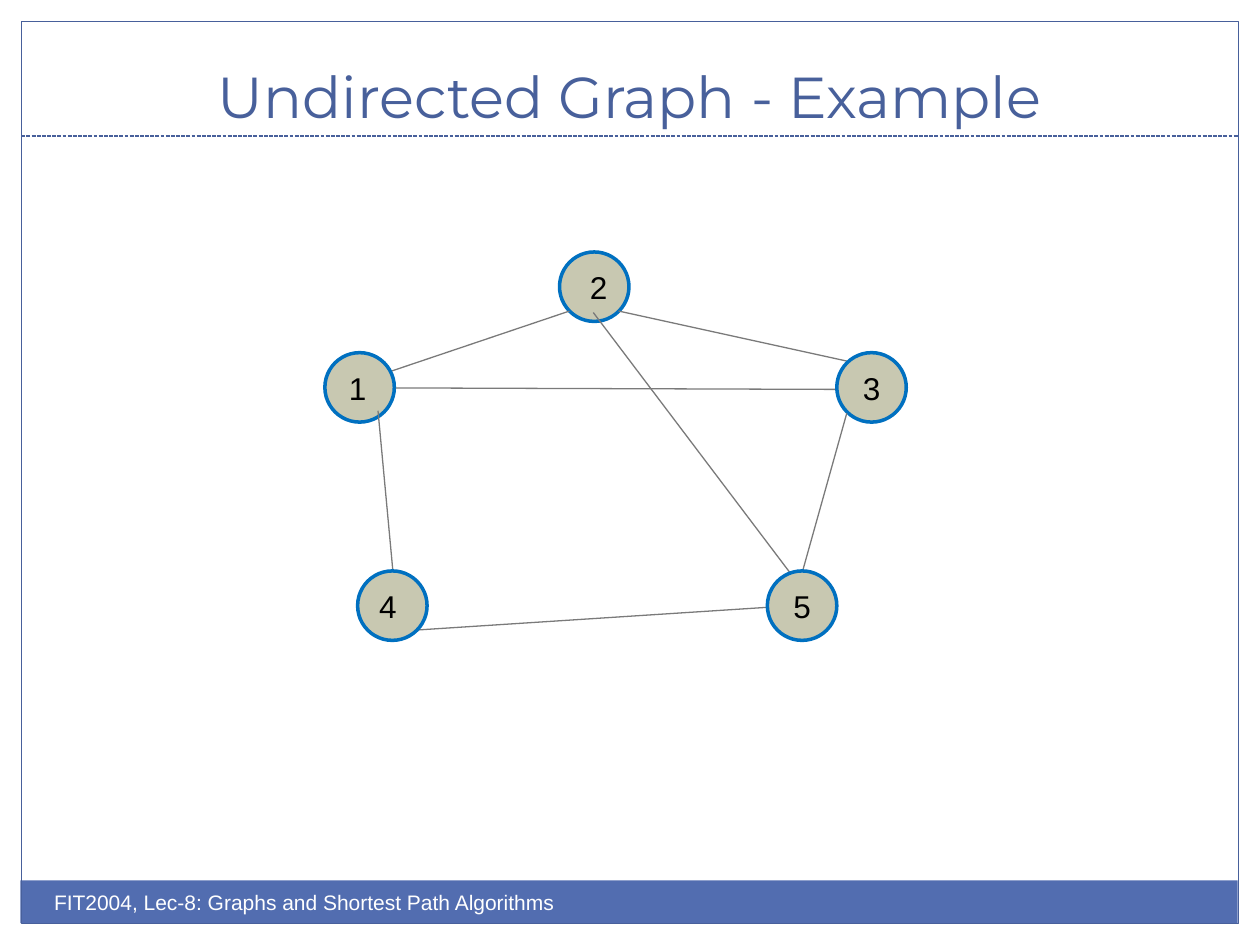
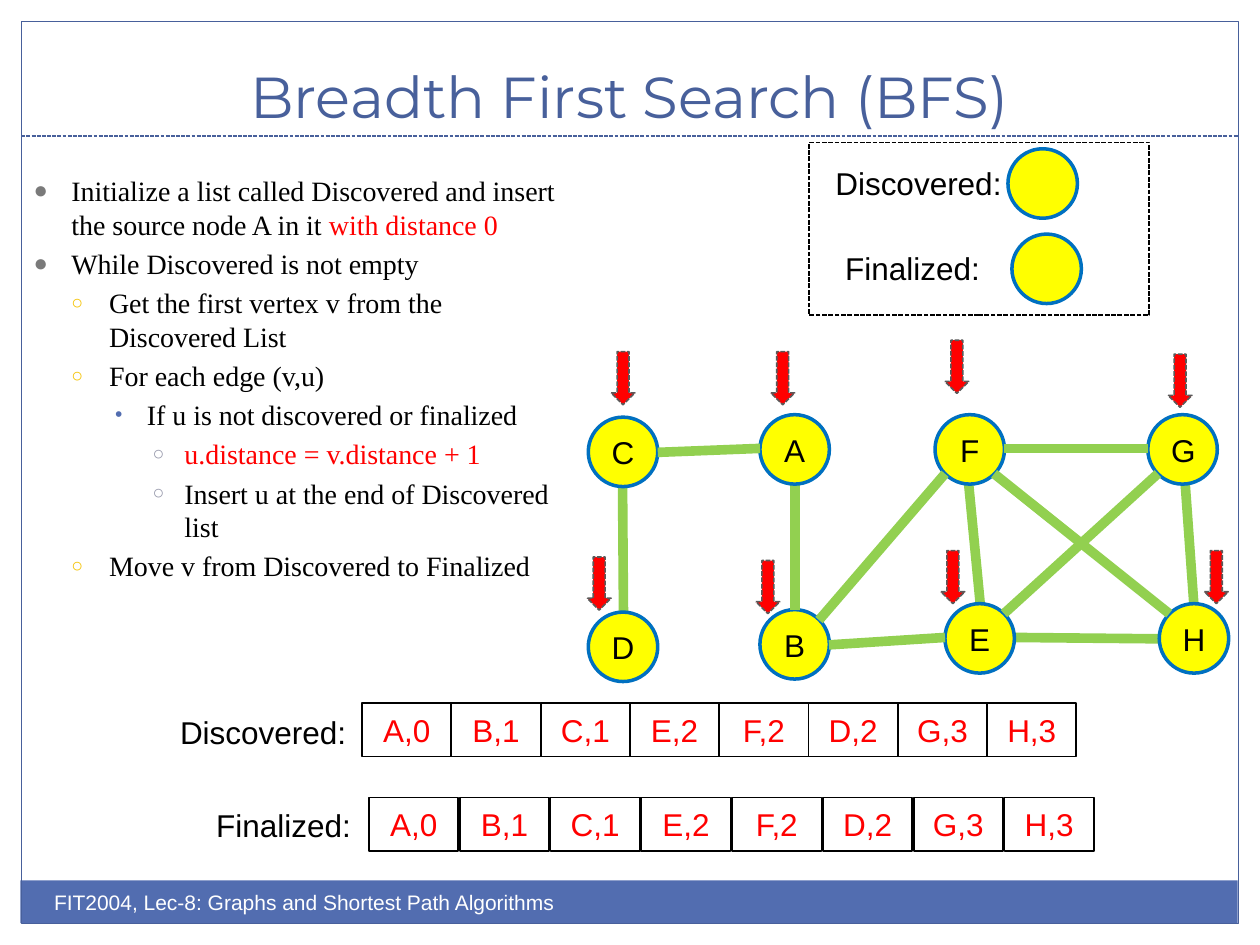
"""Two lecture slides: an undirected graph and breadth first search."""
from typing import NamedTuple

from lxml import etree
from pptx import Presentation
from pptx.dml.color import RGBColor
from pptx.enum.dml import MSO_LINE
from pptx.enum.shapes import MSO_CONNECTOR, MSO_SHAPE
from pptx.enum.text import MSO_ANCHOR, MSO_AUTO_SIZE, PP_ALIGN
from pptx.oxml.ns import qn
from pptx.util import Cm, Pt

RECT, OVAL, DOWN_ARROW = MSO_SHAPE.RECTANGLE, MSO_SHAPE.OVAL, MSO_SHAPE.DOWN_ARROW
STRAIGHT = MSO_CONNECTOR.STRAIGHT
DASH = MSO_LINE.SQUARE_DOT
LEFT, CENTER = PP_ALIGN.LEFT, PP_ALIGN.CENTER
TOP, MIDDLE, BOTTOM = MSO_ANCHOR.TOP, MSO_ANCHOR.MIDDLE, MSO_ANCHOR.BOTTOM
FIT = MSO_AUTO_SIZE.SHAPE_TO_FIT_TEXT

WHITE = RGBColor(0xFF, 0xFF, 0xFF)
BLACK = RGBColor(0x00, 0x00, 0x00)
RED = RGBColor(0xFF, 0x00, 0x00)
YELLOW = RGBColor(0xFF, 0xFF, 0x00)
BAND = RGBColor(0x52, 0x6D, 0xB0)
NAVY = RGBColor(0x48, 0x60, 0x9B)
RING = RGBColor(0x00, 0x70, 0xC0)
STONE = RGBColor(0xC8, 0xC8, 0xB1)
GRAY = RGBColor(0x7A, 0x7A, 0x7A)
DARK_GRAY = RGBColor(0x5A, 0x5A, 0x5A)
GREEN = RGBColor(0x92, 0xD0, 0x50)

FOOTER = "FIT2004, Lec-8: Graphs and Shortest Path Algorithms"
NODE_SIZE = 1.4
LABEL_W, LABEL_H = 0.96, 1.02
CELL_W, CELL_H = 1.8, 1.07
BODY_INDENT = 0.76


class Node(NamedTuple):
    """A graph vertex: label, top left corner in cm, label shift."""
    label: str
    x: float
    y: float
    shift: float = 0


class Edge(NamedTuple):
    """A line between two points, in cm."""
    x1: float
    y1: float
    x2: float
    y2: float


class Bullet(NamedTuple):
    """The marker of one outline level."""
    char: str
    color: str
    percent: int
    hang: float


class Item(NamedTuple):
    """One outline paragraph; the part in red comes last."""
    level: int
    text: str
    red: str = ""


class ListRow(NamedTuple):
    """A labelled row of cells."""
    label: str
    label_x: float
    label_y: float
    label_w: float
    x: float
    y: float
    pitch: float


BULLETS = [
    Bullet("●", "7A7A7A", 85, 0.76),
    Bullet("○", "F5C201", 70, 0.76),
    Bullet("•", "526DB0", 75, 0.64),
    Bullet("○", "989AAC", 70, 0.64),
]

# Slide 1, from back to front
GRAPH = [
    Node("2", 11.28, 5.08, 0.09),
    Edge(11.48, 6.27, 7.24, 7.7),
    Edge(12.47, 6.27, 17.35, 7.34),
    Node("1", 6.55, 7.11, -0.04),
    Edge(7.62, 8.28, 7.92, 11.51),
    Edge(8.41, 12.7, 15.82, 12.22),
    Edge(7.98, 7.82, 16.94, 7.85),
    Node("3", 16.87, 7.11),
    Edge(17.07, 8.33, 16.18, 11.51),
    Edge(11.96, 6.3, 16.05, 11.71),
    Node("4", 7.21, 11.51, -0.09),
    Node("5", 15.47, 11.51),
]

# Slide 2, from back to front
BFS_GRAPH = [
    Edge(19.51, 9.58, 19.76, 12.17),
    Edge(12.55, 9.8, 12.57, 12.55),
    Edge(24.08, 12.37, 23.88, 9.58),
    Edge(23.6, 12.88, 20.45, 12.85),
    Node("B", 15.32, 12.29),
    Edge(16.03, 9.75, 16.03, 12.29),
    Node("A", 15.32, 8.36),
    Node("E", 19.05, 12.17),
    Node("F", 18.85, 8.36),
    Node("H", 23.37, 12.17),
    Node("G", 23.14, 8.36),
    Node("D", 11.86, 12.34),
    Node("C", 11.86, 8.41),
    Edge(19.05, 12.85, 16.71, 13),
    Edge(16.51, 12.5, 19.05, 9.55),
    Edge(20.24, 12.37, 23.34, 9.55),
    Edge(23.57, 12.37, 20.04, 9.55),
    Edge(20.24, 9.04, 23.14, 9.04),
    Edge(13.26, 9.12, 15.32, 9.04),
]
OUTLINE = [
    Item(0, "Initialize a list called Discovered and insert the source node A in it ",
         "with distance 0"),
    Item(0, "While Discovered is not empty"),
    Item(1, "Get the first vertex v from the Discovered List"),
    Item(1, "For each edge (v,u)"),
    Item(2, "If u is not discovered or finalized"),
    Item(3, "", "u.distance = v.distance + 1"),
    Item(3, "Insert u at the end of Discovered list"),
    Item(1, "Move v from Discovered to Finalized"),
]
VISITS = ["A,0", "B,1", "C,1", "E,2", "F,2", "D,2", "G,3", "H,3"]
ROWS = [
    ListRow("Discovered:", 3.38, 14.25, 3.89, 7.3, 14.18, 1.8),
    ListRow("Finalized:", 4.11, 16.13, 3.25, 7.44, 16.08, 1.83),
]
POINTERS = [
    (15.54, 7.09), (15.24, 11.3), (12.32, 7.09), (18.97, 11.1),
    (19.05, 6.86), (11.84, 11.23), (23.55, 7.14), (24.28, 11.1),
]


def add_shape(s, kind, x, y, w, h, fill=None, line=None, width=0.75, dash=None):
    """Add a preset shape without shadow; no colour means no fill or line."""
    sp = s.shapes.add_shape(kind, Cm(x), Cm(y), Cm(w), Cm(h))
    sp.shadow.inherit = False
    if fill is None:
        sp.fill.background()
    else:
        sp.fill.solid()
        sp.fill.fore_color.rgb = fill
    if line is None:
        sp.line.fill.background()
    else:
        sp.line.color.rgb = line
        sp.line.width = Pt(width)
        sp.line.dash_style = dash
    return sp


def add_line(s, edge: Edge, color: RGBColor, width: float, dash=None) -> None:
    """Add a straight connector without shadow."""
    ends = [Cm(v) for v in edge]
    cx = s.shapes.add_connector(STRAIGHT, *ends)
    cx.line.color.rgb = color
    cx.line.width = Pt(width)
    cx.line.dash_style = dash
    etree.SubElement(cx._element.spPr, qn("a:effectLst"))


def style_run(r, size: float, color: RGBColor, font: str = "Arial") -> None:
    """Set size, colour and typeface of a run."""
    r.font.size = Pt(size)
    r.font.name = font
    r.font.color.rgb = color


def write(sp, text: str, size: float, color: RGBColor, font: str = "Arial",
          align=LEFT, anchor=TOP) -> None:
    """Put one styled paragraph in a shape."""
    tf = sp.text_frame
    tf.text = text
    tf.vertical_anchor = anchor
    p = tf.paragraphs[0]
    p.alignment = align
    style_run(p.runs[0], size, color, font)


def add_text(s, x, y, w, h, text, size, color, wrap=True, **style) -> None:
    """Add a text box; one that does not wrap grows with its text."""
    sp = s.shapes.add_textbox(Cm(x), Cm(y), Cm(w), Cm(h))
    write(sp, text, size, color, **style)
    sp.text_frame.word_wrap = wrap
    if not wrap:
        sp.text_frame.auto_size = FIT


def add_base(prs, title: str):
    """Add a slide with frame, footer band, title rule and title."""
    s = prs.slides.add_slide(prs.slide_layouts[6])
    add_shape(s, RECT, 0.41, 17.75, 24.54, 0.86, fill=BAND)
    add_shape(s, RECT, 0.43, 0.43, 24.54, 18.19, line=NAVY)
    add_line(s, Edge(0.43, 2.74, 24.97, 2.74), NAVY, 0.75, DASH)
    add_text(s, 0.84, 0.64, 23.7, 2.11, title, 33, NAVY, font="Montserrat",
             align=CENTER, anchor=BOTTOM)
    add_text(s, 0.84, 17.81, 12.7, 1.02, FOOTER, 12, WHITE)
    return s


def add_circle(s, x: float, y: float, fill: RGBColor) -> None:
    """Draw the ringed circle of a vertex."""
    add_shape(s, OVAL, x, y, NODE_SIZE, NODE_SIZE, fill, RING, 2)


def add_graph(s, parts: list, fill: RGBColor, color: RGBColor, width: float) -> None:
    """Draw vertices and edges from back to front."""
    for part in parts:
        if isinstance(part, Edge):
            add_line(s, part, color, width)
            continue
        add_circle(s, part.x, part.y, fill)
        add_text(s, part.x + (NODE_SIZE - LABEL_W) / 2 + part.shift, part.y + 0.2,
                 LABEL_W, LABEL_H, part.label, 18, BLACK, wrap=False, align=CENTER)


def add_outline(s, items: list[Item]) -> None:
    """Write the bulleted outline."""
    tf = s.shapes.add_textbox(Cm(0.43), Cm(3.38), Cm(11.23), Cm(9.96)).text_frame
    tf.word_wrap = True
    for i, item in enumerate(items):
        p = tf.paragraphs[0] if i == 0 else tf.add_paragraph()
        p.level = item.level
        p.space_before = Pt(3.2)
        for text, color in ((item.text, BLACK), (item.red, RED)):
            if text:
                r = p.add_run()
                r.text = text
                style_run(r, 16, color, "Times New Roman")
        bullet = BULLETS[item.level]
        pPr = p._p.get_or_add_pPr()
        pPr.set("marL", str(Cm(BODY_INDENT * (item.level + 1))))
        pPr.set("indent", str(-Cm(bullet.hang)))
        clr = etree.SubElement(pPr, qn("a:buClr"))
        etree.SubElement(clr, qn("a:srgbClr"), val=bullet.color)
        etree.SubElement(pPr, qn("a:buSzPct"), val=str(bullet.percent * 1000))
        etree.SubElement(pPr, qn("a:buFont"), typeface="Arial")
        etree.SubElement(pPr, qn("a:buChar"), char=bullet.char)


def add_label(s, x: float, y: float, w: float, text: str) -> None:
    """Add a one-line label."""
    add_text(s, x, y, w, LABEL_H, text, 18, BLACK, wrap=False)


def add_row(s, row: ListRow) -> None:
    """Draw a labelled list of visited vertices."""
    add_label(s, row.label_x, row.label_y, row.label_w, row.label)
    for i, visit in enumerate(VISITS):
        sp = add_shape(s, RECT, row.x + i * row.pitch, row.y, CELL_W, CELL_H,
                       line=BLACK, width=1)
        write(sp, visit, 18, RED, align=CENTER, anchor=MIDDLE)


def add_legend(s) -> None:
    """Draw the dashed legend of vertex states."""
    add_circle(s, 20.32, 3, YELLOW)
    add_circle(s, 20.4, 4.72, YELLOW)
    add_label(s, 16.59, 3.18, 3.89, "Discovered:")
    add_label(s, 16.79, 4.9, 3.25, "Finalized:")
    add_shape(s, RECT, 16.31, 2.87, 6.86, 3.48, line=BLACK, width=0.9, dash=DASH)


prs = Presentation()
prs.slide_width, prs.slide_height = Cm(25.4), Cm(19.05)

s = add_base(prs, "Undirected Graph - Example")
add_graph(s, GRAPH, STONE, GRAY, 0.75)

s = add_base(prs, "Breadth First Search (BFS)")
add_graph(s, BFS_GRAPH, YELLOW, GREEN, 5.5)
add_outline(s, OUTLINE)
for row in ROWS:
    add_row(s, row)
for x, y in POINTERS:
    add_shape(s, DOWN_ARROW, x, y, 0.48, 1.07, RED, DARK_GRAY, 0.9, DASH)
add_legend(s)

prs.save("out.pptx")
